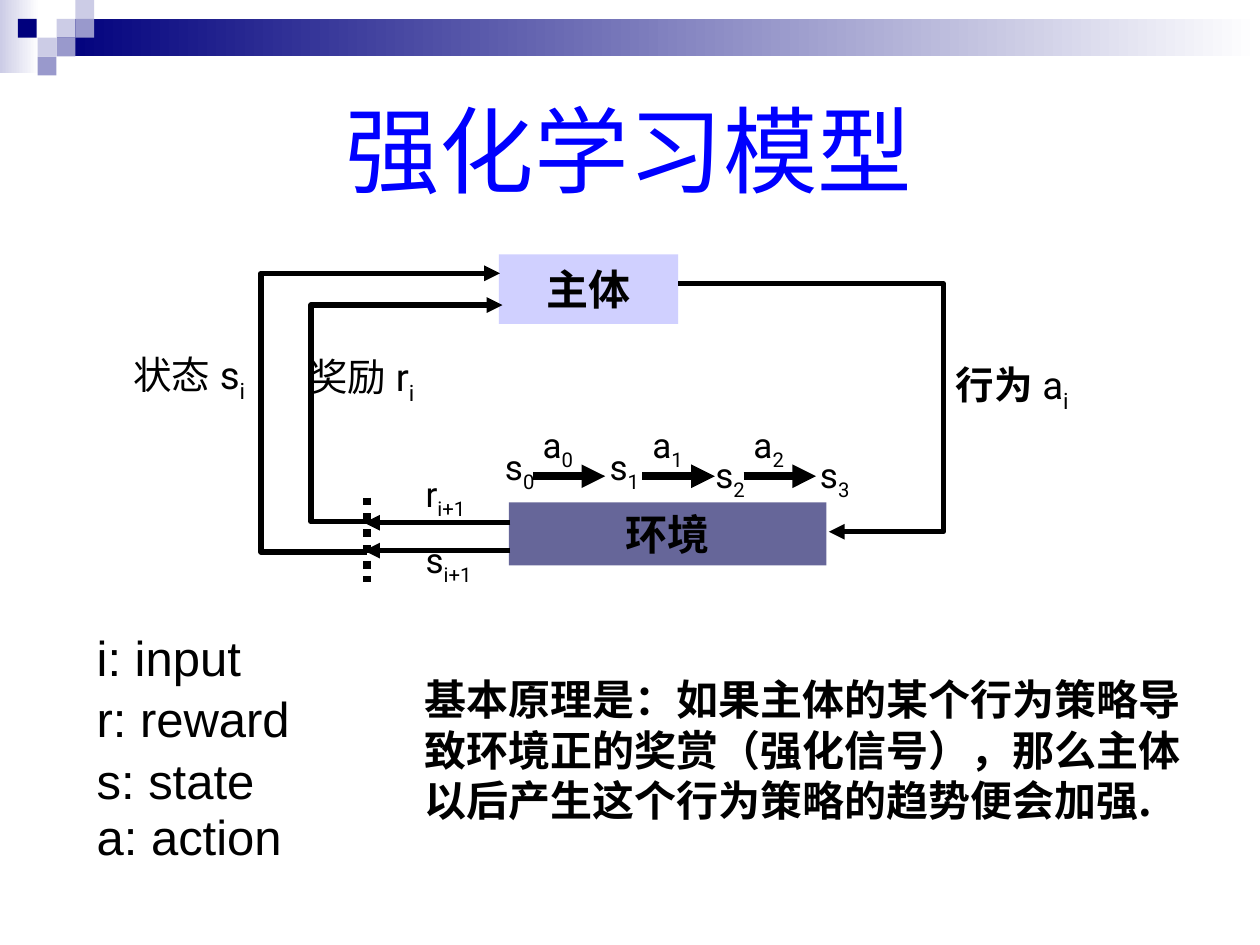
"""Build a slide on the reinforcement learning model."""
from pptx import Presentation
from pptx.dml.color import RGBColor
from pptx.enum.dml import MSO_LINE
from pptx.enum.lang import MSO_LANGUAGE_ID
from pptx.enum.shapes import MSO_CONNECTOR, MSO_SHAPE
from pptx.enum.text import MSO_ANCHOR, MSO_AUTO_SIZE, PP_ALIGN
from pptx.oxml.ns import qn
from pptx.util import Cm, Pt
from lxml import etree

RECT = MSO_SHAPE.RECTANGLE
LINE = MSO_CONNECTOR.STRAIGHT
DOTS = MSO_LINE.ROUND_DOT
TOP, MID = MSO_ANCHOR.TOP, MSO_ANCHOR.MIDDLE
LEFT, CENTER = PP_ALIGN.LEFT, PP_ALIGN.CENTER
GROW, FIXED = MSO_AUTO_SIZE.SHAPE_TO_FIT_TEXT, MSO_AUTO_SIZE.NONE
CHINESE = MSO_LANGUAGE_ID.SIMPLIFIED_CHINESE

BLACK = RGBColor(0, 0, 0)
WHITE = RGBColor(255, 255, 255)
BLUE = RGBColor(0, 0, 255)
NAVY = RGBColor(0x00, 0x00, 0x7D)
PALE = RGBColor(0xCC, 0xCC, 0xE6)
LILAC = RGBColor(0x99, 0x99, 0xCC)
VIOLET = RGBColor(0x99, 0x99, 0xFF)
SLATE = RGBColor(0x66, 0x66, 0x99)

SANS, ARIAL, ROBOTO, NOTO = "DejaVu Sans", "Arial", "Roboto", "Noto Sans CJK SC"
CELL = 0.38


def add_run(par, text, size, face, color=BLACK, bold=False, sub=False):
    """Add one styled run to a paragraph."""
    run = par.add_run()
    run.text = text
    font = run.font
    font.size, font.name, font.bold = Pt(size), face, bold
    font.color.rgb = color
    font.language_id = CHINESE
    props = run._r.get_or_add_rPr()
    etree.SubElement(props, qn("a:ea")).set("typeface", face)
    if sub:
        props.set("baseline", "-25000")


def set_frame(frame, anchor=TOP, wrap=True, fit=GROW):
    """Set how a text frame holds its text."""
    frame.word_wrap = wrap
    frame.auto_size = fit
    frame.vertical_anchor = anchor


def add_rect(shapes, x, y, w, h, color, end=None):
    """Add a plain rectangle, or one that fades to an end colour."""
    rect = shapes.add_shape(RECT, Cm(x), Cm(y), Cm(w), Cm(h))
    rect.shadow.inherit = False
    rect.line.fill.background()
    if end is None:
        rect.fill.solid()
        rect.fill.fore_color.rgb = color
    else:
        rect.fill.gradient()
        rect.fill.gradient_angle = 0
        for stop, tone in zip(rect.fill.gradient_stops, (color, end)):
            stop.color.rgb = tone
    return rect


def add_box(shapes, x, y, w, h, color, text, face):
    """Add a rectangle with a bold centred name."""
    box = add_rect(shapes, x, y, w, h, color)
    set_frame(box.text_frame, MID, False, FIXED)
    par = box.text_frame.paragraphs[0]
    par.alignment = CENTER
    add_run(par, text, 24, face, bold=True)
    return box


def add_text(shapes, x, y, w, h, lines, size, face, bold=False, anchor=TOP):
    """Add a text box with one paragraph for each line."""
    frame = shapes.add_textbox(Cm(x), Cm(y), Cm(w), Cm(h)).text_frame
    set_frame(frame, anchor)
    for i, line in enumerate(lines):
        par = frame.add_paragraph() if i else frame.paragraphs[0]
        if i:
            par.space_before = Pt(1.5)
        add_run(par, line, size, face, bold=bold)
    return frame


def add_label(shapes, x, y, w, text, sub, size=20, h=1.22):
    """Add a symbol with its subscript."""
    frame = add_text(shapes, x, y, w, h, [text], size, ROBOTO)
    add_run(frame.paragraphs[0], sub, size, ROBOTO, sub=True)
    return frame


def style_line(shape, width, arrow):
    """Set the black stroke of a line and its arrowhead."""
    shape.line.color.rgb = BLACK
    shape.line.width = Pt(width)
    if arrow:
        tail = etree.SubElement(shape.line._get_or_add_ln(), qn("a:tailEnd"))
        tail.set("type", "triangle")


def add_line(shapes, x1, y1, x2, y2, width=3, arrow=True):
    """Add a straight line."""
    line = shapes.add_connector(LINE, Cm(x1), Cm(y1), Cm(x2), Cm(y2))
    style_line(line, width, arrow)
    etree.SubElement(line._element.spPr, qn("a:effectLst"))
    return line


def add_loop(shapes, side, start, end):
    """Add an arrow that turns at a vertical side."""
    turns = [(side, start[1]), (side, end[1]), end]
    pen = shapes.build_freeform(Cm(start[0]), Cm(start[1]))
    pen.add_line_segments([(Cm(x), Cm(y)) for x, y in turns], close=False)
    loop = pen.convert_to_shape()
    loop.shadow.inherit = False
    loop.fill.background()
    style_line(loop, 3, True)


def add_decor(shapes):
    """Add the fading bars and the squares at the top."""
    add_rect(shapes, 0, 0, 0.79, 1.47, PALE, WHITE)
    add_rect(shapes, 1.14, CELL, 24.26, 0.76, NAVY, WHITE)
    add_rect(shapes, 0.36, CELL, CELL, CELL, NAVY)
    tiles = [(3, 1, PALE), (4, 0, PALE), (4, 1, LILAC),
             (2, 2, PALE), (3, 2, LILAC), (2, 3, LILAC)]
    for col, row, color in tiles:
        add_rect(shapes, col * CELL, row * CELL, CELL, CELL, color)


def add_title(title, text):
    """Place and fill the title."""
    title.left, title.top = Cm(6.71), Cm(1.73)
    title.width, title.height = Cm(11.94), Cm(2.54)
    set_frame(title.text_frame, wrap=False, fit=FIXED)
    par = title.text_frame.paragraphs[0]
    par.alignment = LEFT
    add_run(par, text, 54, SANS, BLUE)


def add_chain(shapes):
    """Add the chain of states and actions."""
    for i, x in enumerate((10.69, 12.9, 14.94)):
        add_label(shapes, x, 8.41, 1.14, "a", str(i))
        add_line(shapes, x + 0.05, 9.6, x + 1.51, 9.6, 4.5)
    states = [(9.93, 8.86, 1.27), (12.04, 8.86, 1.12),
              (14.17, 9.02, 1.4), (16.28, 9.02, 1.45)]
    for i, (x, y, w) in enumerate(states):
        add_label(shapes, x, y, w, "s", str(i))


def main():
    """Build and save the slide."""
    deck = Presentation()
    deck.slide_width, deck.slide_height = Cm(25.4), Cm(19.05)
    slide = deck.slides.add_slide(deck.slide_layouts[5])
    shapes = slide.shapes
    add_title(shapes.title, "强化学习模型")
    add_decor(shapes)

    agent = add_box(shapes, 10.06, 5.13, 3.61, 1.4, VIOLET, "主体", SANS)
    tone = agent._element.spPr.find(qn("a:solidFill"))[0]
    etree.SubElement(tone, qn("a:alpha")).set("val", "46000")

    add_text(shapes, 1.7, 12.52, 4.67, 3.81,
             ["i: input", "r: reward", "s: state"], 28, ARIAL)
    add_text(shapes, 1.7, 16.13, 4.24, 1.45, ["a: action"], 28, ARIAL)
    add_label(shapes, 2.44, 6.96, 2.9, "状态 s", "i", 22, 1.32)
    add_label(shapes, 8.33, 10.74, 1.8, "s", "i+1")
    add_label(shapes, 8.33, 9.4, 1.8, "r", "i+1")
    prize = add_label(shapes, 5.99, 6.99, 2.84, "奖励 r", "i", 22, 1.32)
    prize.word_wrap = False
    add_box(shapes, 10.26, 10.13, 6.4, 1.27, SLATE, "环境", ROBOTO)

    add_loop(shapes, 5.26, (7.39, 11.13), (10.08, 5.51))
    add_loop(shapes, 6.27, (7.39, 10.52), (10.13, 6.15))
    add_loop(shapes, 19.02, (16.71, 5.72), (16.71, 10.72))
    add_line(shapes, 16.71, 5.72, 13.67, 5.72, arrow=False)
    split = add_line(shapes, 7.39, 10.03, 7.39, 11.73, 4.5, False)
    split.line.dash_style = DOTS
    for y in (11.1, 10.54):
        add_line(shapes, 10.29, y, 7.34, y)

    deed = add_text(shapes, 19.02, 7.16, 4.88, 1.32, ["行为 "], 22, ROBOTO, True)
    add_run(deed.paragraphs[0], "a", 22, ROBOTO)
    add_run(deed.paragraphs[0], "i", 22, ROBOTO, sub=True)
    add_chain(shapes)
    rule = ("基本原理是：如果主体的某个行为策略导致环境正的奖赏（强化信号），"
            "那么主体以后产生这个行为策略的趋势便会加强.")
    add_text(shapes, 8.31, 13.46, 16.41, 3.3, [rule], 24, NOTO, True, MID)
    deck.save("out.pptx")


if __name__ == "__main__":
    main()
